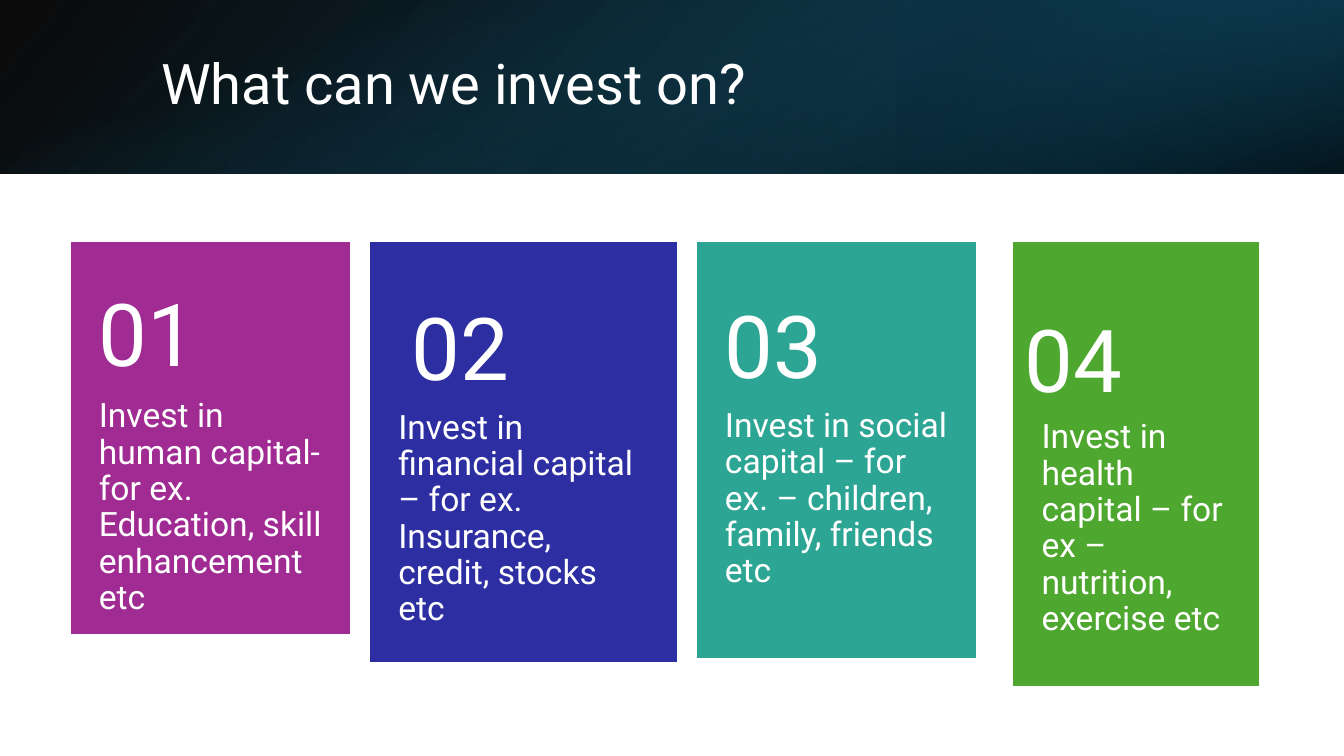
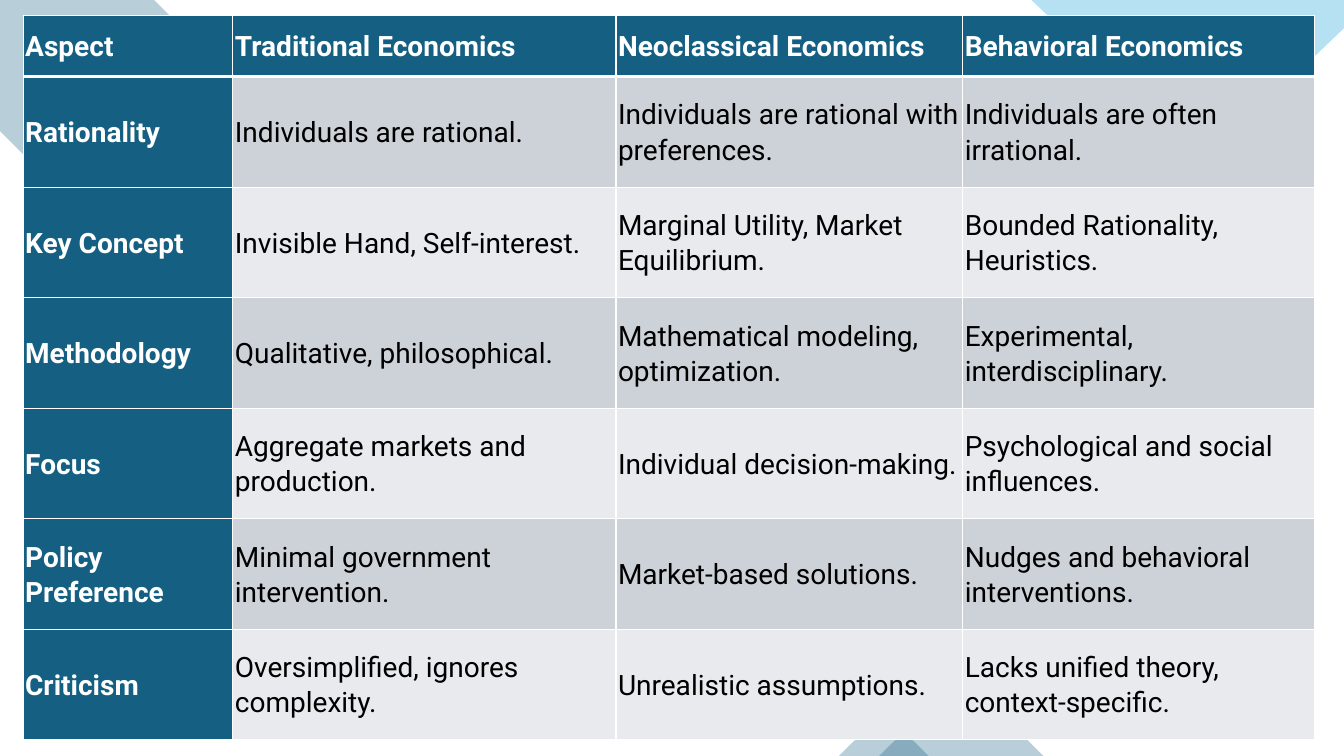
from lxml import etree
from pptx import Presentation
from pptx import util as u
from pptx.dml.color import RGBColor
from pptx.enum import shapes, text
from pptx.oxml import parse_xml
from pptx.oxml.ns import nsdecls, qn

PX = 9144  # 100 px to the inch
SLIDE_W, SLIDE_H = 1333, 750
FONT = "Roboto"

WHITE, BLACK = RGBColor(255, 255, 255), RGBColor(0, 0, 0)
TEAL_BLUE, SKY = RGBColor(0x15, 0x60, 0x82), RGBColor(0x0F, 0x9E, 0xD5)
DEEP_BLUE, NIGHT_BLUE = RGBColor(0x10, 0x48, 0x62), RGBColor(0x0B, 0x30, 0x41)
PURPLE, INDIGO = RGBColor(0xA0, 0x2B, 0x93), RGBColor(0x2C, 0x2E, 0xA2)
GREEN_BLUE, GREEN = RGBColor(0x2D, 0xA5, 0x94), RGBColor(0x4E, 0xA7, 0x2E)
ROW_DARK, ROW_LIGHT = RGBColor(0xCC, 0xD2, 0xD8), RGBColor(0xE8, 0xEA, 0xED)

TITLE = "What can we invest on?"
TITLE_BOX = (150, 38, 1098, 96)
BAND_H = 172
# box, rotation, flipped, angle, stops of (position %, colour, opacity %)
BAND_LAYERS = [
    ((0, 0, SLIDE_W, BAND_H), 0, True, 140,
     [(0, BLACK, 96), (100, DEEP_BLUE, 100)]),
    ((889, 0, 444, BAND_H), 180, True, 320,
     [(19, NIGHT_BLUE, 68), (100, TEAL_BLUE, 79)]),
    (((SLIDE_W - BAND_H) / 2, (BAND_H - SLIDE_W) / 2, BAND_H, SLIDE_W), 90, False, 340,
     [(23, TEAL_BLUE, 0), (99, BLACK, 74)]),
]

CARD_TOP, NUMBER_W, NUMBER_H = 241, 275, 132
NUMBER_RISE = 165  # top of the number above the middle of its card
DETAIL_MARGINS = (27, 0, 26, 36)
NUMBER_MARGINS = (27, 18, 27, 18)
# left, width, height, colour, detail
CARDS = [
    (71, 275, 387, PURPLE,
     "Invest in human capital- for ex. Education, skill enhancement etc"),
    (368, 302, 415, INDIGO,
     "Invest in financial capital – for ex. Insurance, credit, stocks etc"),
    (692, 275, 411, GREEN_BLUE,
     "Invest in social capital – for ex. – children, family, friends etc"),
    (1006, 242, 439, GREEN,
     "Invest in health capital – for ex – nutrition, exercise etc"),
]

CORNERS = [
    (TEAL_BLUE, [(153, 0), (0, 0), (0, 130), (41, 171), (183, 30)]),
    (SKY, [(1333, 0), (1023, 0), (1193, 162), (1333, 28)]),
]
TRIANGLES = [(872, 669, 163, 81), (832, 706, 89, 44)]
DECOR_OPACITY = 30

TABLE_BOX = (23, 15, 1281, 719)
COL_W, HEADER_H = (208, 380, 344, 349), 61
ROWS = [
    ("Aspect", "Traditional Economics", "Neoclassical Economics", "Behavioral Economics"),
    ("Rationality", "Individuals are rational.",
     "Individuals are rational with preferences.", "Individuals are often irrational."),
    ("Key Concept", "Invisible Hand, Self-interest.",
     "Marginal Utility, Market Equilibrium.", "Bounded Rationality, Heuristics."),
    ("Methodology", "Qualitative, philosophical.",
     "Mathematical modeling, optimization.", "Experimental, interdisciplinary."),
    ("Focus", "Aggregate markets and production.",
     "Individual decision-making.", "Psychological and social influences."),
    ("Policy Preference", "Minimal government intervention.",
     "Market-based solutions.", "Nudges and behavioral interventions."),
    ("Criticism", "Oversimplified, ignores complexity.",
     "Unrealistic assumptions.", "Lacks unified theory, context-specific."),
]


def emu(*lengths):
    return [u.Emu(round(n * PX)) for n in lengths]


def set_all(obj, **values):
    for name, value in values.items():
        setattr(obj, name, value)


def set_margins(obj, *margins):
    """Margins run left, top, right, bottom."""
    for side, margin in zip(("left", "top", "right", "bottom"), emu(*margins)):
        setattr(obj, f"margin_{side}", margin)


def write(tf, words, size, color=WHITE, bold=False, spacing=0.9):
    p = tf.paragraphs[0]
    set_all(p, line_spacing=spacing, alignment=text.PP_ALIGN.LEFT)
    r = p.add_run()
    r.text = words
    set_all(r.font, name=FONT, size=u.Pt(size), bold=bold)
    r.font.color.rgb = color


def paint(sp, color, opacity=100):
    sp.shadow.inherit = False
    sp.fill.solid()
    sp.fill.fore_color.rgb = color
    sp.line.fill.background()
    if opacity < 100:
        clr = sp.fill._xPr.find(qn("a:solidFill"))[0]
        etree.SubElement(clr, qn("a:alpha")).set("val", str(opacity * 1000))


def add_band_layer(s, box, rotation, flipped, angle, stops):
    sp = s.shapes.add_shape(shapes.MSO_SHAPE.RECTANGLE, *emu(*box))
    paint(sp, BLACK)
    sp.rotation = rotation
    pr = sp._element.spPr
    if flipped:
        pr.find(qn("a:xfrm")).set("flipH", "1")
    gs = "".join(
        f'<a:gs pos="{pos * 1000}"><a:srgbClr val="{color}">'
        f'<a:alpha val="{opacity * 1000}"/></a:srgbClr></a:gs>'
        for pos, color, opacity in stops)
    pr.replace(pr.find(qn("a:solidFill")), parse_xml(
        f'<a:gradFill {nsdecls("a")} rotWithShape="1"><a:gsLst>{gs}</a:gsLst>'
        f'<a:lin ang="{angle * 60000}" scaled="0"/></a:gradFill>'))


def add_text(s, box, words, size, margins, anchor):
    tf = s.shapes.add_textbox(*emu(*box)).text_frame
    set_all(tf, word_wrap=True, vertical_anchor=anchor)
    set_margins(tf, *margins)
    write(tf, words, size)


def add_card(s, number, left, width, height, color, detail):
    sp = s.shapes.add_shape(shapes.MSO_SHAPE.RECTANGLE, *emu(left, CARD_TOP, width, height))
    paint(sp, color)
    sp.line.color.rgb = color
    sp.line.width = u.Pt(1.5)
    ln = sp._element.spPr.find(qn("a:ln"))
    etree.SubElement(ln, qn("a:miter")).set("lim", "800000")  # square corners
    add_text(s, (left, CARD_TOP + 0.4 * height, width, 0.6 * height), detail, 24,
             DETAIL_MARGINS, text.MSO_ANCHOR.TOP)
    number_box = (left + (width - NUMBER_W) / 2, CARD_TOP + height / 2 - NUMBER_RISE,
                  NUMBER_W, NUMBER_H)
    add_text(s, number_box, f"{number:02}", 62, NUMBER_MARGINS, text.MSO_ANCHOR.MIDDLE)


def set_borders(cell, top, bottom):
    pr = cell._tc.get_or_add_tcPr()
    for i, (side, pt) in enumerate(zip("LRTB", (1, 1, top, bottom))):
        pr.insert(i, parse_xml(
            f'<a:ln{side} {nsdecls("a")} w="{u.Pt(pt)}"><a:solidFill>'
            f'<a:srgbClr val="{WHITE}"/></a:solidFill></a:ln{side}>'))


def build_investments(prs):
    s = prs.slides.add_slide(prs.slide_layouts[5])
    for layer in BAND_LAYERS:
        add_band_layer(s, *layer)
    title = s.shapes.title
    s.shapes._spTree.append(title._element)  # in front of the band
    set_all(title, **dict(zip(("left", "top", "width", "height"), emu(*TITLE_BOX))))
    set_all(title.text_frame, vertical_anchor=text.MSO_ANCHOR.MIDDLE,
            auto_size=text.MSO_AUTO_SIZE.NONE)
    write(title.text_frame, TITLE, 40)
    for number, card in enumerate(CARDS, 1):
        add_card(s, number, *card)


def build_comparison(prs):
    s = prs.slides.add_slide(prs.slide_layouts[6])
    for color, points in CORNERS:
        start, *rest = [emu(*point) for point in points]
        outline = s.shapes.build_freeform(*start, scale=1.0)
        outline.add_line_segments(rest, close=True)
        paint(outline.convert_to_shape(), color, DECOR_OPACITY)
    for box in TRIANGLES:
        sp = s.shapes.add_shape(shapes.MSO_SHAPE.ISOSCELES_TRIANGLE, *emu(*box))
        paint(sp, TEAL_BLUE, DECOR_OPACITY)

    table = s.shapes.add_table(len(ROWS), len(COL_W), *emu(*TABLE_BOX)).table
    for col, width in zip(table.columns, emu(*COL_W)):
        col.width = width
    body_h = (TABLE_BOX[3] - HEADER_H) / (len(ROWS) - 1)
    for i, row in enumerate(ROWS):
        table.rows[i].height = emu(body_h if i else HEADER_H)[0]
        for j, words in enumerate(row):
            cell = table.cell(i, j)
            heading = i == 0 or j == 0
            cell.vertical_anchor = text.MSO_ANCHOR.MIDDLE
            set_margins(cell, 2, 2, 2, 2)
            cell.fill.solid()
            cell.fill.fore_color.rgb = (
                TEAL_BLUE if heading else ROW_DARK if i % 2 else ROW_LIGHT)
            set_borders(cell, top=3 if i == 1 else 1, bottom=3 if i == 0 else 1)
            write(cell.text_frame, words, 20, WHITE if heading else BLACK, heading, 1.07)


def main():
    prs = Presentation()
    prs.slide_width, prs.slide_height = emu(SLIDE_W, SLIDE_H)
    build_investments(prs)
    build_comparison(prs)
    prs.save("out.pptx")


if __name__ == "__main__":
    main()
